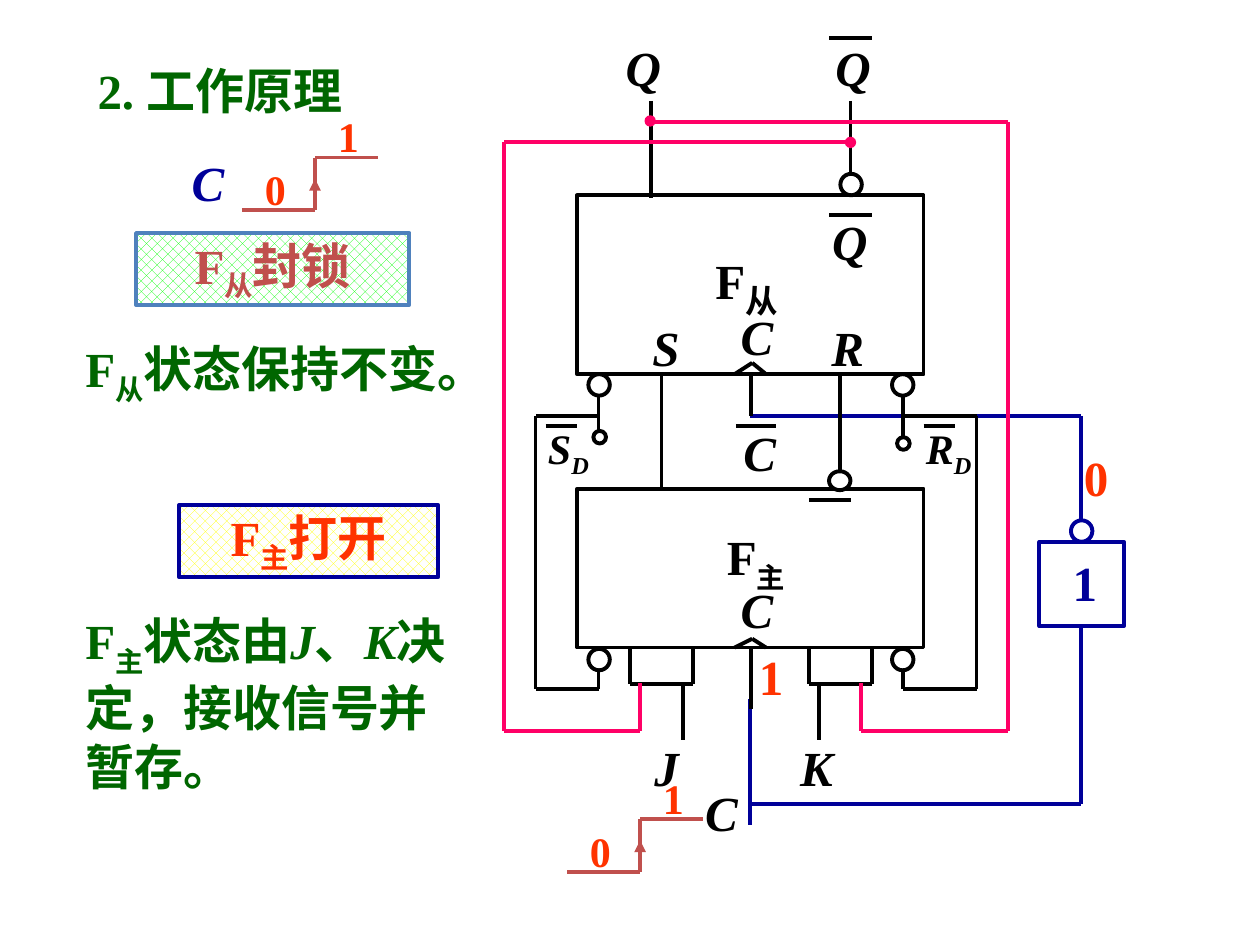
from lxml.etree import SubElement
from pptx import Presentation
from pptx.dml.color import RGBColor
from pptx.enum.dml import MSO_PATTERN as Pattern
from pptx.enum.shapes import MSO_CONNECTOR as Connector, MSO_SHAPE as Shape
from pptx.enum.text import MSO_ANCHOR as Anchor, MSO_AUTO_SIZE as AutoSize, PP_ALIGN as Align
from pptx.oxml.ns import qn
from pptx.util import Cm, Pt

FONT = "Times New Roman"
BLACK, WHITE, NAVY, PINK = "000000", "FFFFFF", "000099", "FF0066"
GREEN, ORANGE, BRICK, STEEL = "006600", "FF3300", "C0504D", "4F81BD"

TITLE = ([("2. 工作原理", "")], (0.66, 0.43, 2.17, 0.57))

CARDS = [
    ([("F", ""), ("从", "s"), ("封锁", "")], (1.08, 1.85, 2.17, 0.57), BRICK, "00FF00", STEEL),
    ([("F", ""), ("主", "s"), ("打开", "")], (1.42, 4.01, 2.06, 0.57), ORANGE, "FFFF00", NAVY),
]

NOTES = [
    ([("F", ""), ("从", "s"), ("状态保持不变。", "")], (0.58, 2.67, 3.33, 0.57)),
    ([("F", ""), ("主", "s"), ("状态由", ""), ("J", "i"), ("、", ""), ("K", "i"),
      ("决定，接收信号并暂存。", "")], (0.58, 4.83, 3.17, 1.5)),
]

CENTRED_LABELS = [
    ("0", "", (8.5, 3.5, 0.4, 0.57), ORANGE),
    ("1", "", (5.92, 5.08, 0.4, 0.57), ORANGE),
    ("1", "", (8.41, 4.33, 0.4, 0.57), NAVY),
    ("C", "i", (1.4, 1.16, 0.5, 0.57), NAVY),
    ("Q", "i", (6.49, 1.63, 0.51, 0.57), BLACK),
    ("Q", "i", (4.85, 0.25, 0.51, 0.57), BLACK),
    ("Q", "i", (6.46, 0.25, 0.62, 0.57), BLACK),
    ("J", "i", (5.08, 5.8, 0.42, 0.57), BLACK),
    ("K", "i", (6.22, 5.8, 0.52, 0.57), BLACK),
    ("C", "i", (5.78, 3.3, 0.5, 0.57), BLACK),
    ("C", "i", (5.43, 6.16, 0.59, 0.57), BLACK),
]

PIN_LABELS = [
    ([("R", "i")], (6.5, 2.47, 0.46, 0.57), 28),
    ([("S", "i")], (5.08, 2.47, 0.35, 0.57), 28),
    ([("C", "i")], (5.78, 2.38, 0.63, 0.57), 28),
    ([("C", "i")], (5.78, 4.55, 0.63, 0.57), 28),
    ([("F", ""), ("从", "s", 32)], (5.58, 1.88, 0.96, 0.57), 28),
    ([("F", ""), ("主", "s")], (5.67, 4.13, 0.98, 0.57), 28),
    ([("S", "i"), ("D", "is")], (4.25, 3.3, 0.75, 0.5), 24),
    ([("R", "i"), ("D", "is")], (7.25, 3.3, 0.75, 0.5), 24),
]

LATCHES = [(4.58, 1.55, 2.75, 1.42), (4.58, 3.88, 2.75, 1.26)]
INVERTER = (8.25, 4.3, 0.67, 0.67)

OVERBARS = [(6.58, 6.92, 0.3), (6.58, 6.92, 1.71), (4.33, 4.58, 3.38),
            (7.33, 7.58, 3.38), (5.84, 6.16, 3.38), (6.42, 6.75, 3.97)]

WIRES = {
    NAVY: [
        [(5.95, 3.3), (8.58, 3.3), (8.58, 4.13)],
        [(5.95, 6.38), (8.58, 6.38), (8.58, 4.97)],
        [(5.95, 5.55), (5.95, 6.55)],
    ],
    BLACK: [
        [(5.17, 0.8), (5.17, 1.57)],
        [(6.75, 0.8), (6.75, 1.4)],
        [(5.96, 2.97), (5.96, 3.3)],
        [(5.83, 2.97), (5.97, 2.88), (6.08, 2.97)],
        [(5.83, 5.14), (5.97, 5.07), (6.08, 5.14)],
        [(5.25, 2.97), (5.25, 3.88)],
        [(6.67, 2.97), (6.67, 3.75)],
        [(4.75, 3.13), (4.75, 3.47)],
        [(7.17, 3.13), (7.17, 3.47)],
        [(4.75, 3.3), (4.25, 3.3), (4.25, 5.47), (4.75, 5.47), (4.75, 5.3)],
        [(7.17, 3.3), (7.75, 3.3), (7.75, 5.47), (7.17, 5.47), (7.17, 5.3)],
        [(5.96, 5.13), (5.96, 5.63)],
        [(5, 5.13), (5, 5.43), (5.5, 5.43), (5.5, 5.13)],
        [(6.42, 5.13), (6.42, 5.43), (6.92, 5.43), (6.92, 5.13)],
        [(5.42, 5.43), (5.42, 5.87)],
        [(6.5, 5.43), (6.5, 5.87)],
    ],
    PINK: [
        [(6.75, 1.13), (4, 1.13), (4, 5.8), (5.08, 5.8), (5.08, 5.42)],
        [(5.17, 0.97), (8, 0.97), (8, 5.8), (6.83, 5.8), (6.83, 5.42)],
    ],
}

BUBBLES = [(6.67, 1.38, 0.17, 0.17), (4.67, 2.97, 0.17, 0.17), (7.08, 2.97, 0.17, 0.17),
           (6.58, 3.74, 0.17, 0.15), (4.67, 5.15, 0.17, 0.17), (7.08, 5.15, 0.17, 0.17),
           (4.71, 3.42, 0.1, 0.1), (7.12, 3.47, 0.1, 0.1)]
INVERTER_BUBBLE = (8.5, 4.13, 0.17, 0.17)
JUNCTIONS = [(5.12, 0.92, 0.08, 0.08), (6.71, 1.09, 0.08, 0.08)]
CLOCK_EDGES = [(1.92, 1.67), (4.5, 6.92)]


def inches(values):
    """Convert inch values to lengths."""
    return [Cm(value * 2.54) for value in values]


def colour(value):
    """Turn a hex string into a colour."""
    return RGBColor.from_string(value)


def write(shape, runs, ink=BLACK, size=28, align=Align.CENTER, anchor=Anchor.MIDDLE, inset=0):
    """Write runs of (text, style, optional size); style i is italic, s is subscript."""
    frame = shape.text_frame
    frame.word_wrap, frame.auto_size = True, AutoSize.NONE
    frame.vertical_anchor = anchor
    frame.margin_left = frame.margin_right = Cm(inset * 2.54)
    frame.margin_top = frame.margin_bottom = Cm(0.13)
    paragraph = frame.paragraphs[0]
    paragraph.alignment, paragraph.space_before = align, Pt(0)
    for text, style, *own_size in runs:
        run = paragraph.add_run()
        run.text = text
        font = run.font
        font.name, font.bold, font.italic = FONT, True, "i" in style
        font.size = Pt(own_size[0] if own_size else size)
        font.color.rgb = colour(ink)
        if "s" in style:
            run._r.get_or_add_rPr().set("baseline", "-25000")


def label(slide, runs, box, **style):
    """Add a text box."""
    write(slide.shapes.add_textbox(*inches(box)), runs, **style)


def block(slide, kind, box, edge=BLACK, fill=None, pattern=None, weight=2.25):
    """Add an outlined shape with a plain, patterned or empty fill."""
    shape = slide.shapes.add_shape(kind, *inches(box))
    shape.shadow.inherit = False
    shape.line.color.rgb, shape.line.width = colour(edge), Pt(weight)
    if pattern:
        shape.fill.patterned()
        shape.fill.pattern = Pattern.from_xml("pct40")
        shape.fill.fore_color.rgb, shape.fill.back_color.rgb = colour(pattern), colour(WHITE)
    elif fill:
        shape.fill.solid()
        shape.fill.fore_color.rgb = colour(fill)
    else:
        shape.fill.background()
    return shape


def wire(slide, points, ink=BLACK, arrow=False):
    """Join successive points with straight connectors."""
    for start, end in zip(points, points[1:]):
        line = slide.shapes.add_connector(Connector.STRAIGHT, *inches(start + end))
        line.line.color.rgb, line.line.width = colour(ink), Pt(2.25)
        if arrow:
            SubElement(line.line._get_or_add_ln(), qn("a:tailEnd"), type="triangle")
        SubElement(line._element.spPr, qn("a:effectLst"))


def clock_edge(slide, x, y):
    """Draw a rising clock edge from 0 to 1."""
    rise, top = x + 0.58, y - 0.42
    wire(slide, [(x, y), (rise, y)], BRICK)
    wire(slide, [(rise, y), (rise, y - 0.25)], BRICK, arrow=True)
    wire(slide, [(rise, y - 0.17), (rise, top), (rise + 0.5, top)], BRICK)
    for digit, left, up in (("0", x + 0.08, top), ("1", rise + 0.08, top - 0.42)):
        label(slide, [(digit, "")], (left, up, 0.37, 0.5), ink=ORANGE, size=24)


def main():
    """Build the slide."""
    deck = Presentation()
    deck.slide_width, deck.slide_height = inches((10, 7.5))
    slide = deck.slides.add_slide(deck.slide_layouts[5])
    title, (runs, box) = slide.shapes.title, TITLE
    title.left, title.top, title.width, title.height = inches(box)
    write(title, runs, ink=GREEN, inset=0.1)

    for runs, box, ink, pattern, edge in CARDS:
        write(block(slide, Shape.RECTANGLE, box, edge, pattern=pattern), runs, ink=ink)
    for runs, box in NOTES:
        label(slide, runs, box, ink=GREEN, align=Align.LEFT, inset=0.1)
    for box in LATCHES:
        block(slide, Shape.RECTANGLE, box)
    block(slide, Shape.RECTANGLE, INVERTER, NAVY, WHITE)
    for ink, routes in WIRES.items():
        for points in routes:
            wire(slide, points, ink)
    for left, right, y in OVERBARS:
        wire(slide, [(left, y), (right, y)])
    for box in BUBBLES:
        block(slide, Shape.OVAL, box, fill=WHITE)
    block(slide, Shape.OVAL, INVERTER_BUBBLE, NAVY, WHITE)
    for box in JUNCTIONS:
        block(slide, Shape.OVAL, box, PINK, PINK, weight=0.75)
    for text, style, box, ink in CENTRED_LABELS:
        label(slide, [(text, style)], box, ink=ink)
    for runs, box, size in PIN_LABELS:
        label(slide, runs, box, size=size, align=Align.LEFT, anchor=Anchor.TOP, inset=0.1)
    for x, y in CLOCK_EDGES:
        clock_edge(slide, x, y)
    deck.save("out.pptx")


if __name__ == "__main__":
    main()
